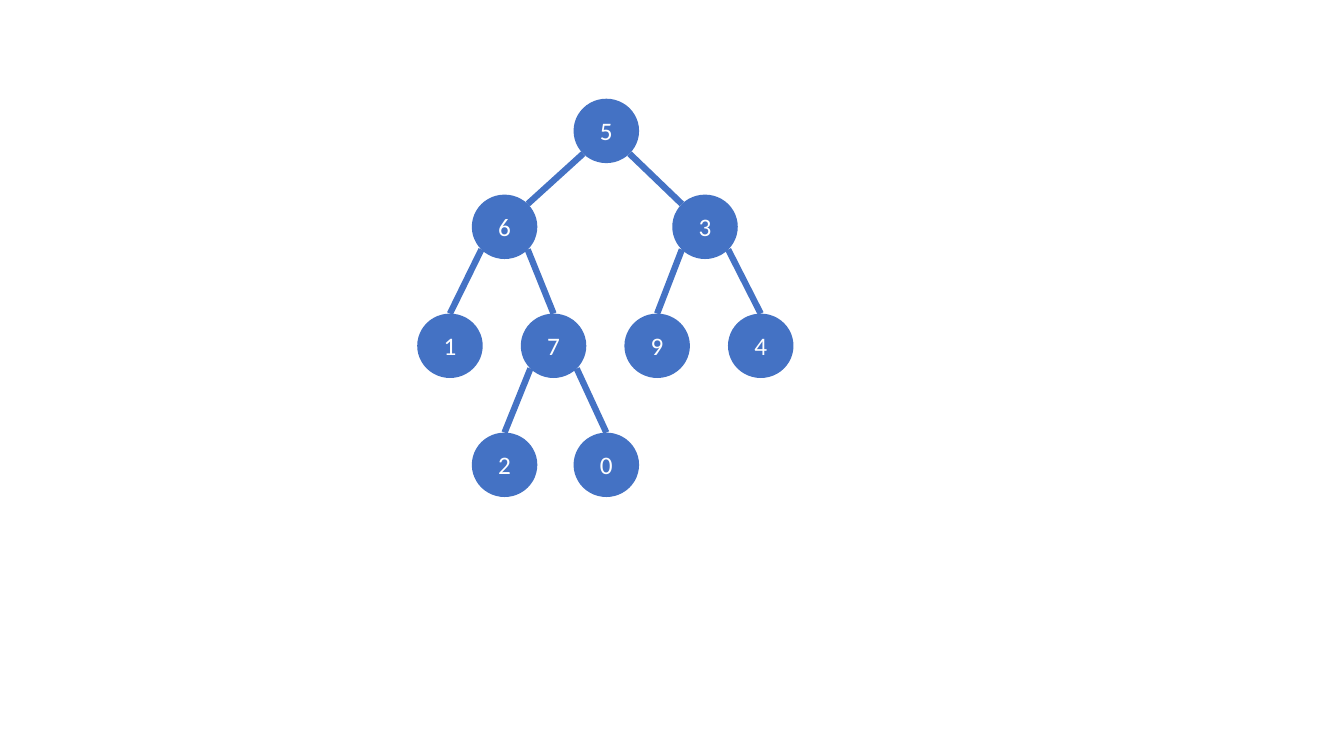
from dataclasses import dataclass
from math import sqrt
from lxml.etree import SubElement
from pptx import Presentation
from pptx.dml.color import RGBColor
from pptx.enum.shapes import MSO_CONNECTOR, MSO_SHAPE
from pptx.enum.text import MSO_ANCHOR, PP_ALIGN
from pptx.oxml.ns import qn
from pptx.util import Pt


@dataclass(frozen=True)
class Theme:
    blue: RGBColor = RGBColor(0x44, 0x72, 0xC4)
    white: RGBColor = RGBColor(0xFF, 0xFF, 0xFF)
    font: str = "Calibri"
    size: float = 18
    line: float = 4.5


THEME = Theme()
WIDE, HIGH = 46.8, 46
TOPS = (70.5, 139, 224, 309)
LEFT, RIGHT = 337, 409.7
ROWS = (
    {"5": RIGHT},
    {"6": LEFT, "3": 480.2},
    {label: 298 + 74 * i for i, label in enumerate("1794")},
    {"2": LEFT, "0": RIGHT},
)
TREE = {"5": "63", "6": "17", "3": "94", "7": "20"}


def add_node(slide, label, left, top):
    node = slide.shapes.add_shape(
        MSO_SHAPE.OVAL, Pt(left), Pt(top), Pt(WIDE), Pt(HIGH))
    node.shadow.inherit = False
    node.fill.solid()
    node.fill.fore_color.rgb = THEME.blue
    node.line.fill.background()
    frame = node.text_frame
    frame.vertical_anchor = MSO_ANCHOR.MIDDLE
    para = frame.paragraphs[0]
    para.alignment = PP_ALIGN.CENTER
    run = para.add_run()
    run.text = label
    run.font.name = THEME.font
    run.font.size = Pt(THEME.size)
    run.font.color.rgb = THEME.white
    return node


def rim_point(node, side, down):
    reach = 1 / sqrt(8)
    x = node.left + node.width * (0.5 + side * reach)
    y = node.top + node.height * (0.5 + down * reach)
    return round(x), round(y)


def add_edge(slide, parent, child, side, root):
    start = rim_point(parent, side, 1)
    end = rim_point(child, -side, -1)
    edge = slide.shapes.add_connector(MSO_CONNECTOR.STRAIGHT, *start, *end)
    if not root:
        edge.end_connect(child, 0)
    edge.line.color.rgb = THEME.blue
    edge.line.width = Pt(THEME.line)
    SubElement(edge._element.spPr, qn("a:effectLst"))


def main():
    deck = Presentation()
    deck.slide_width, deck.slide_height = Pt(960), Pt(540)
    slide = deck.slides.add_slide(deck.slide_layouts[6])
    nodes = {}
    for top, row in zip(TOPS, ROWS):
        for label, left in row.items():
            nodes[label] = add_node(slide, label, left, top)
    for label, pair in TREE.items():
        for side, child in zip((-1, 1), pair):
            add_edge(slide, nodes[label], nodes[child], side, label in ROWS[0])
    deck.save("out.pptx")


if __name__ == "__main__":
    main()
